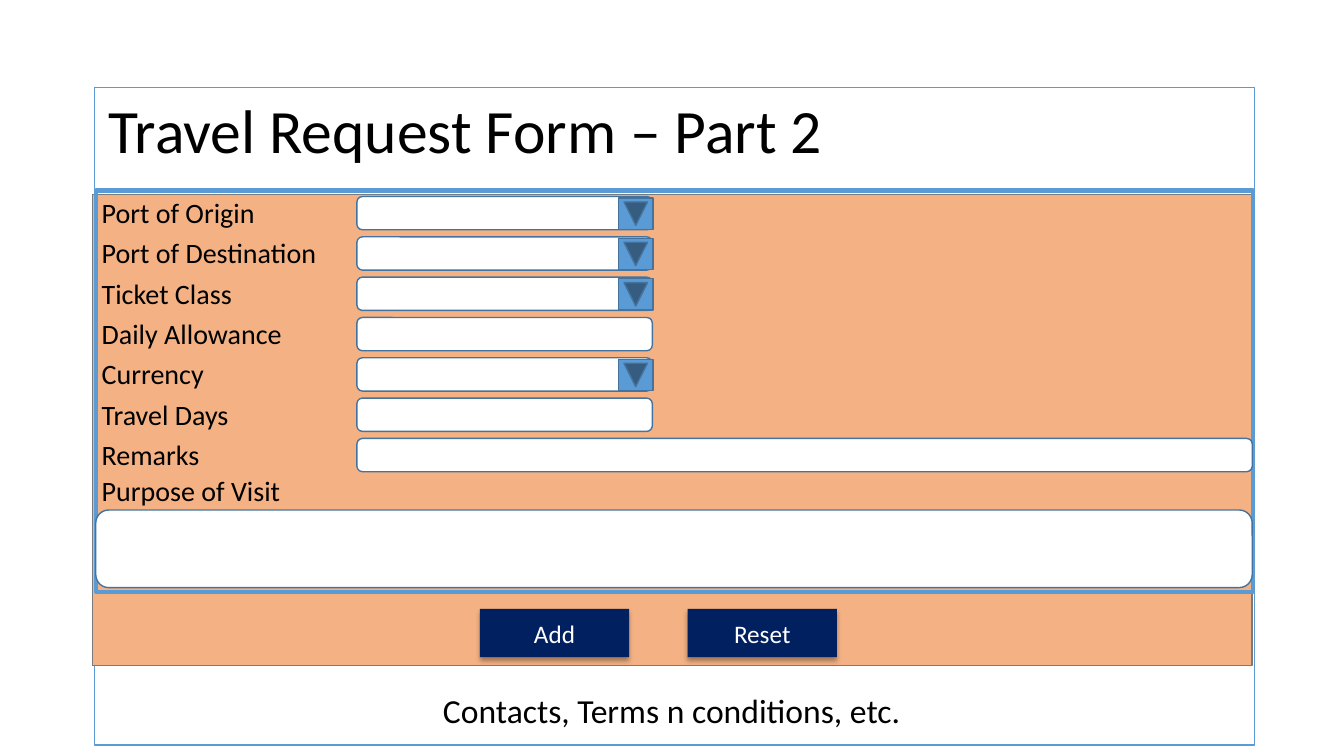
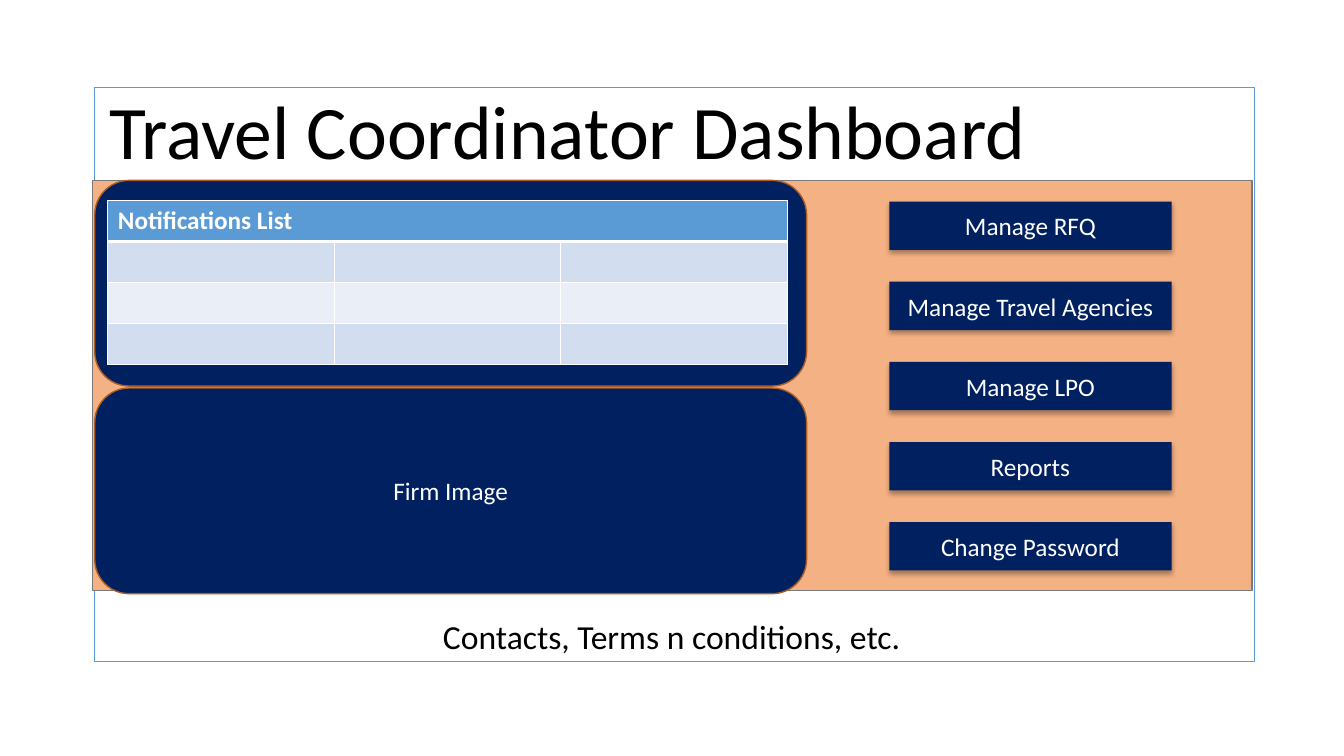
"""Builds two wireframe slides of a travel request system."""
from dataclasses import dataclass

from lxml import etree
from pptx import Presentation
from pptx import util as u
from pptx.dml.color import RGBColor
from pptx.enum import shapes, text
from pptx.oxml import ns

SHAPE = shapes.MSO_SHAPE
LEFT, CENTER = text.PP_ALIGN.LEFT, text.PP_ALIGN.CENTER
TOP, MIDDLE = text.MSO_ANCHOR.TOP, text.MSO_ANCHOR.MIDDLE


@dataclass(frozen=True)
class Theme:
    """Colours, font and type sizes shared by the slides."""
    font: str = "Calibri"
    ink: str = "000000"
    white: str = "FFFFFF"
    navy: str = "002060"
    blue: str = "5B9BD5"
    blue_edge: str = "43739E"
    peach: str = "F4B183"
    peach_edge: str = "7A7A7A"
    rust: str = "AF5C24"
    bands: tuple = ("D2DEEF", "EAEFF7")
    button_size: int = 18
    label_size: int = 20
    footer_size: int = 24


@dataclass(frozen=True)
class Box:
    """A rectangle in inches."""
    x: float
    y: float
    w: float
    h: float

    @property
    def bottom(self):
        """Return the lower edge."""
        return self.y + self.h

    def inches(self):
        """Return left, top, width and height as lengths."""
        return [u.Inches(side) for side in (self.x, self.y, self.w, self.h)]


THEME = Theme()


def write(frame, words, size, color, align=CENTER, anchor=TOP, wrap=True, bold=False):
    """Fill a text frame with one formatted paragraph."""
    frame.text = words
    frame.word_wrap = wrap
    frame.vertical_anchor = anchor
    paragraph = frame.paragraphs[0]
    paragraph.alignment = align
    for run in paragraph.runs:
        run.font.name = THEME.font
        run.font.size = u.Pt(size)
        run.font.bold = bold
        run.font.color.rgb = RGBColor.from_string(color)


def add_panel(slide, box, fill, edge, kind=SHAPE.RECTANGLE, weight=1):
    """Add a flat shape; None leaves out its fill or its line."""
    panel = slide.shapes.add_shape(kind, *box.inches())
    panel.shadow.inherit = False
    if fill:
        panel.fill.solid()
        panel.fill.fore_color.rgb = RGBColor.from_string(fill)
    else:
        panel.fill.background()
    if edge:
        panel.line.color.rgb = RGBColor.from_string(edge)
        panel.line.width = u.Pt(weight)
    else:
        panel.line.fill.background()
    return panel


def add_label(slide, box, words, size, align, wrap):
    """Add dark text in a plain text box."""
    label = slide.shapes.add_textbox(*box.inches())
    write(label.text_frame, words, size, THEME.ink, align, wrap=wrap)


def add_button(slide, box, words):
    """Add a navy button with a soft shadow below it."""
    button = add_panel(slide, box, THEME.navy, None)
    write(button.text_frame, words, THEME.button_size, THEME.white, anchor=MIDDLE)
    effects = button.element.spPr.find(ns.qn("a:effectLst"))
    shadow = etree.SubElement(effects, ns.qn("a:outerShdw"), blurRad=str(u.Pt(3.5)),
                              dist=str(u.Pt(2.2)), dir="5400000", rotWithShape="0")
    tint = etree.SubElement(shadow, ns.qn("a:srgbClr"), val="000000")
    etree.SubElement(tint, ns.qn("a:alpha"), val="32000")


def add_page(deck, heading, heading_box, heading_size, frame, body):
    """Add a slide with its frame, coloured body, footer and title."""
    slide = deck.slides.add_slide(deck.slide_layouts[5])
    add_panel(slide, frame, THEME.white, THEME.blue)
    add_panel(slide, body, THEME.peach, THEME.peach_edge)
    add_label(slide, Box(0.9, body.bottom + 0.2, 11.52, 0.5),
              "Contacts, Terms n conditions, etc.", THEME.footer_size, CENTER, True)
    title = slide.shapes.title
    title.left, title.top, title.width, title.height = heading_box.inches()
    write(title.text_frame, heading, heading_size, THEME.ink, wrap=False)
    title.text_frame.auto_size = text.MSO_AUTO_SIZE.NONE
    title.element.getparent().append(title.element)
    return slide


def add_field(slide, box):
    """Add a rounded input field."""
    add_panel(slide, box, THEME.white, THEME.blue_edge, SHAPE.ROUNDED_RECTANGLE)


def add_dropdown_arrow(slide, field):
    """Add the downward arrow at the right end of a field."""
    arrow = add_panel(slide, Box(field.x + field.w - 0.32, field.y, 0.31, 0.34),
                      THEME.blue, THEME.blue_edge, SHAPE.ACTION_BUTTON_FORWARD_OR_NEXT)
    arrow.rotation = 90


def add_form(slide, box):
    """Add the labelled rows and the purpose field inside an outline."""
    short, long = 2.93, 8.88
    rows = [("Port of Origin", 1.73, short, True),
            ("Port of Destination", 2.35, short, True),
            ("Ticket Class", 1.51, short, True),
            ("Daily Allowance", 2.01, short, False),
            ("Currency", 1.22, short, True),
            ("Travel Days", 1.47, short, False),
            ("Remarks", 1.18, long, False)]
    label_x, label_h = box.x - 0.04, 0.44
    add_panel(slide, box, None, THEME.blue, weight=3)
    for index, (name, name_w, field_w, is_dropdown) in enumerate(rows):
        field = Box(box.x + 2.59, box.y + 0.06 + index * 0.4, field_w, 0.33)
        add_label(slide, Box(label_x, field.y - 0.06, name_w, label_h),
                  name, THEME.label_size, LEFT, False)
        add_field(slide, field)
        if is_dropdown:
            add_dropdown_arrow(slide, field)
    purpose = Box(box.x, box.bottom - 0.81, box.w - 0.01, 0.77)
    add_label(slide, Box(label_x, purpose.y - 0.41, 1.99, label_h),
              "Purpose of Visit", THEME.label_size, LEFT, False)
    add_field(slide, purpose)


def add_button_row(slide, box, names):
    """Spread buttons evenly across a box."""
    width = 1.48
    step = (box.w - width) / (len(names) - 1)
    for index, name in enumerate(names):
        add_button(slide, Box(box.x + index * step, box.y, width, box.h), name)


def add_menu(slide, box, names):
    """Stack buttons evenly down a box."""
    height = 0.48
    step = (box.h - height) / (len(names) - 1)
    for index, name in enumerate(names):
        add_button(slide, Box(box.x, box.y + index * step, box.w, height), name)


def set_borders(cell, bottom_weight):
    """Give a cell white borders."""
    weights = {"L": 1, "R": 1, "T": 1, "B": bottom_weight}
    for side, weight in weights.items():
        edge = etree.SubElement(cell._tc.get_or_add_tcPr(), ns.qn(f"a:ln{side}"),
                                w=str(u.Pt(weight)))
        paint = etree.SubElement(edge, ns.qn("a:solidFill"))
        etree.SubElement(paint, ns.qn("a:srgbClr"), val=THEME.white)


def add_notifications(slide, box):
    """Add the notifications table with a merged header and banded rows."""
    row_fills = (THEME.blue, THEME.bands[0], THEME.bands[1], THEME.bands[0])
    columns = 3
    table = slide.shapes.add_table(len(row_fills), columns, *box.inches()).table
    for row, fill in enumerate(row_fills):
        for column in range(columns):
            cell = table.cell(row, column)
            set_borders(cell, 1 if row else 3)
            cell.fill.solid()
            cell.fill.fore_color.rgb = RGBColor.from_string(fill)
    header = table.cell(0, 0)
    header.merge(table.cell(0, columns - 1))
    write(header.text_frame, "Notifications List", THEME.button_size, THEME.white,
          LEFT, bold=True)


def add_dashboard(slide, box):
    """Add the notifications panel above the image panel."""
    gap = 0.02
    height = (box.h - gap) / 2
    upper = Box(box.x, box.y, box.w, height)
    lower = Box(box.x, box.y + height + gap, box.w, height)
    _, image = [add_panel(slide, part, THEME.navy, THEME.rust, SHAPE.ROUNDED_RECTANGLE)
                for part in (upper, lower)]
    write(image.text_frame, "Firm Image", THEME.button_size, THEME.white, anchor=MIDDLE)
    add_notifications(slide, Box(upper.x + 0.13, upper.y + 0.2, 6.74, 1.58))


def build_request_slide(deck):
    """Build the second part of the travel request form."""
    slide = add_page(deck, "Travel Request Form – Part 2", Box(0.94, 0.86, 7.36, 0.84), 44,
                     Box(0.94, 0.87, 11.5, 6.52), Box(0.92, 1.93, 11.5, 4.67))
    add_form(slide, Box(0.95, 1.89, 11.48, 3.98))
    add_button_row(slide, Box(4.76, 6.04, 3.54, 0.48), ["Add", "Reset"])


def build_dashboard_slide(deck):
    """Build the dashboard of the travel coordinator."""
    slide = add_page(deck, "Travel Coordinator Dashboard", Box(0.94, 0.78, 9.38, 1.01), 54,
                     Box(0.94, 0.87, 11.5, 5.69), Box(0.92, 1.79, 11.5, 4.07))
    add_dashboard(slide, Box(0.94, 1.79, 7.06, 4.1))
    add_menu(slide, Box(8.82, 2, 2.8, 3.66),
             ["Manage RFQ", "Manage Travel Agencies", "Manage LPO", "Reports",
              "Change Password"])


def main():
    """Build and save the deck."""
    deck = Presentation()
    deck.slide_width, deck.slide_height = u.Inches(13.33), u.Inches(7.5)
    build_request_slide(deck)
    build_dashboard_slide(deck)
    deck.save("out.pptx")


main()
